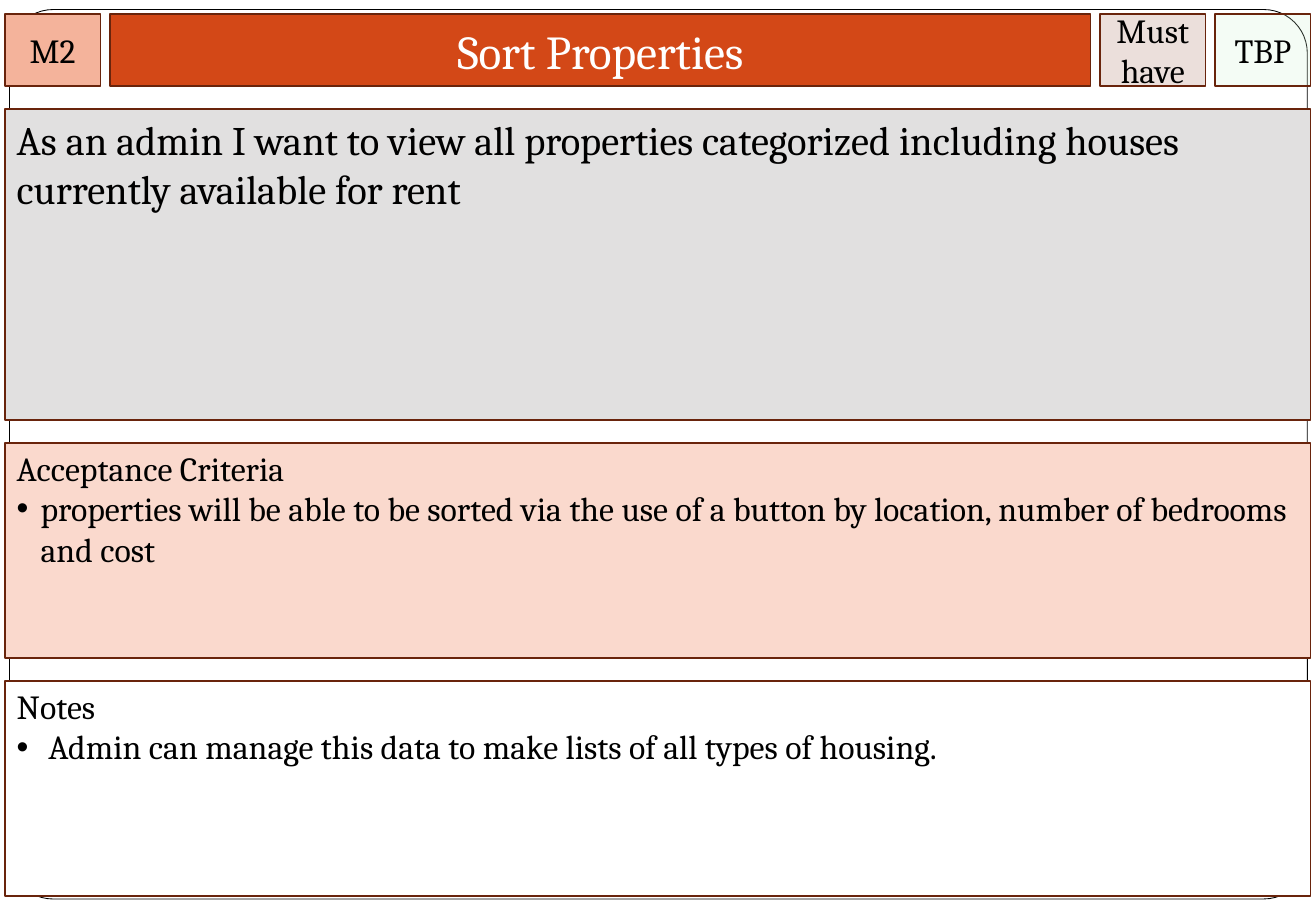
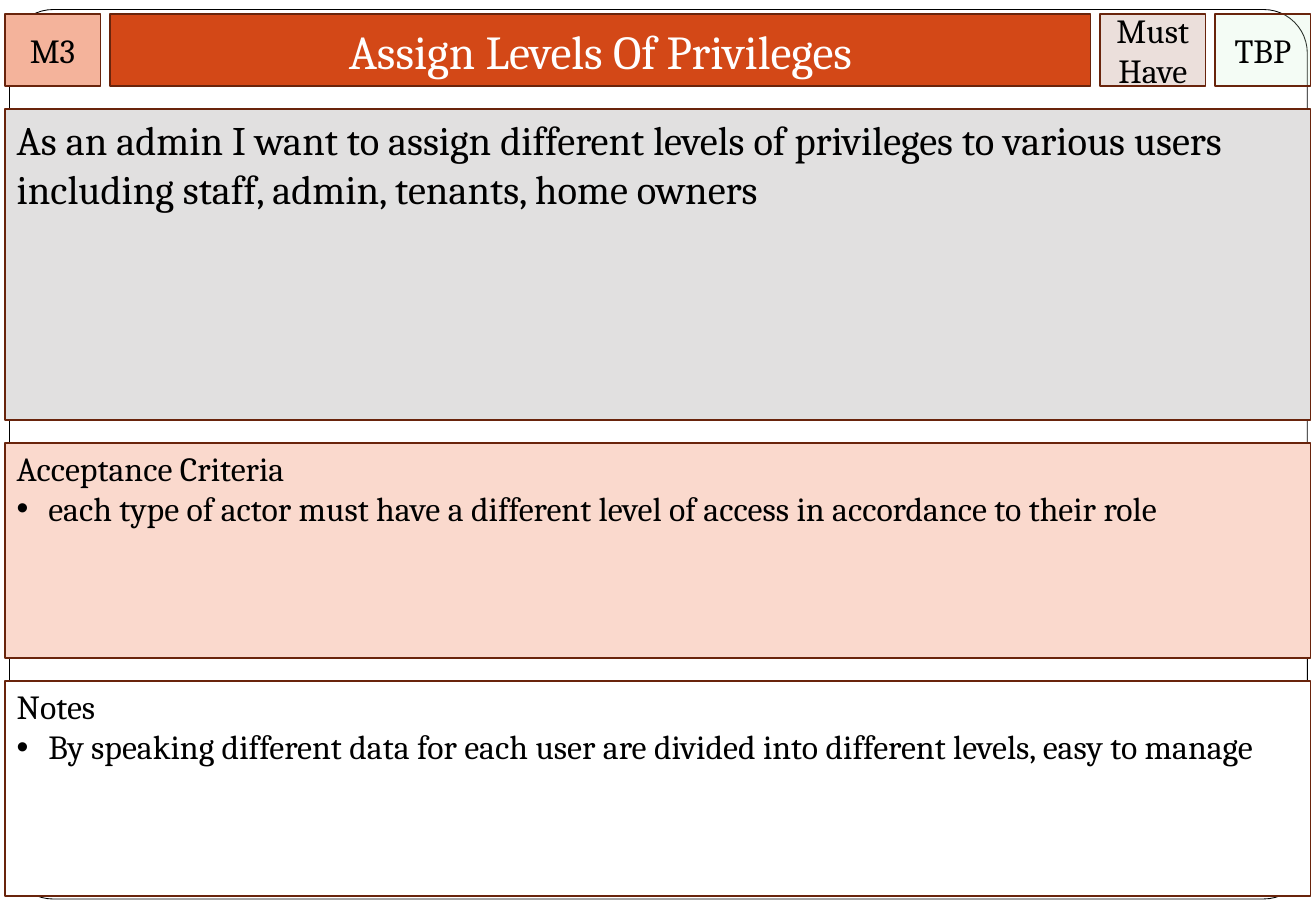
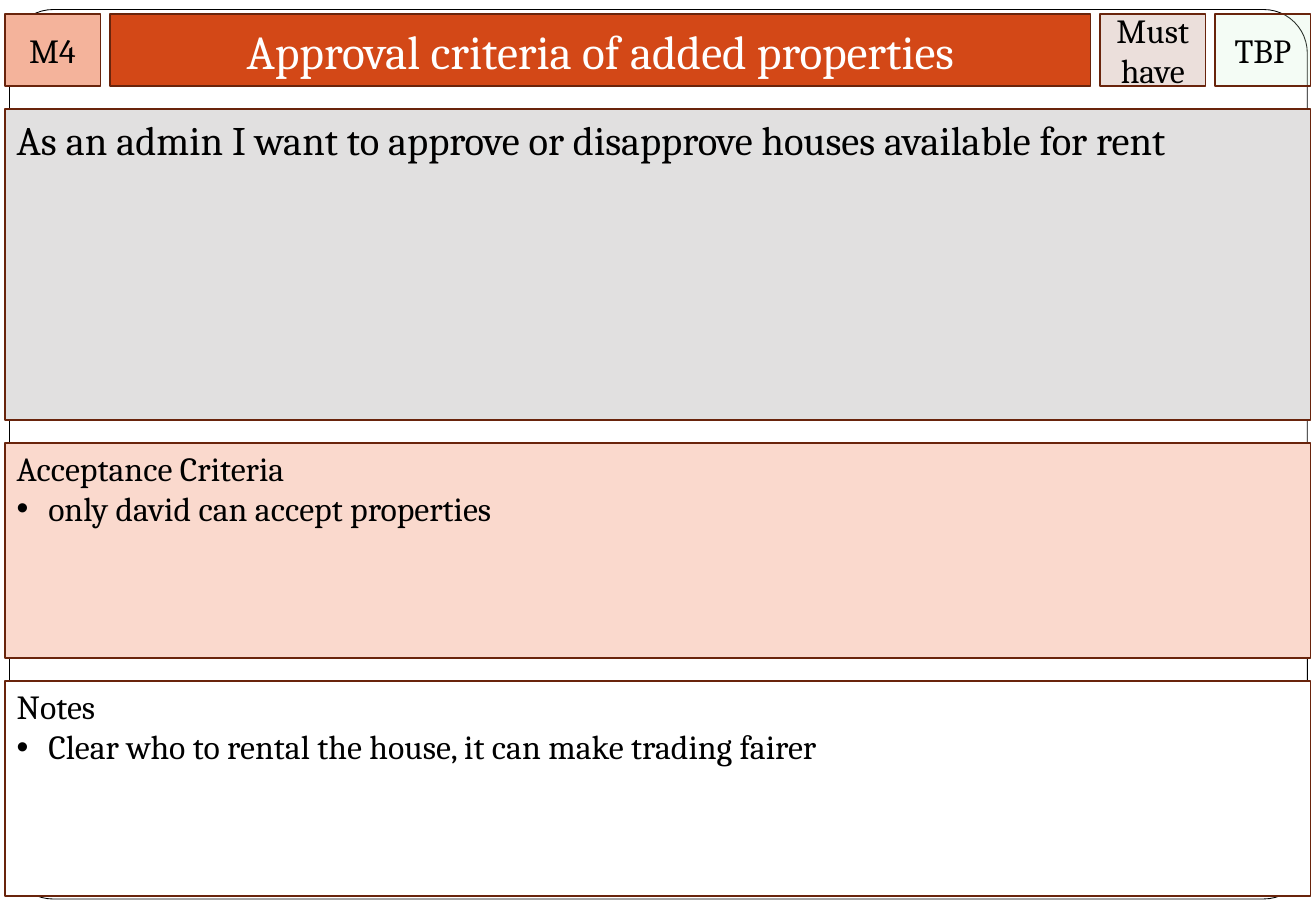
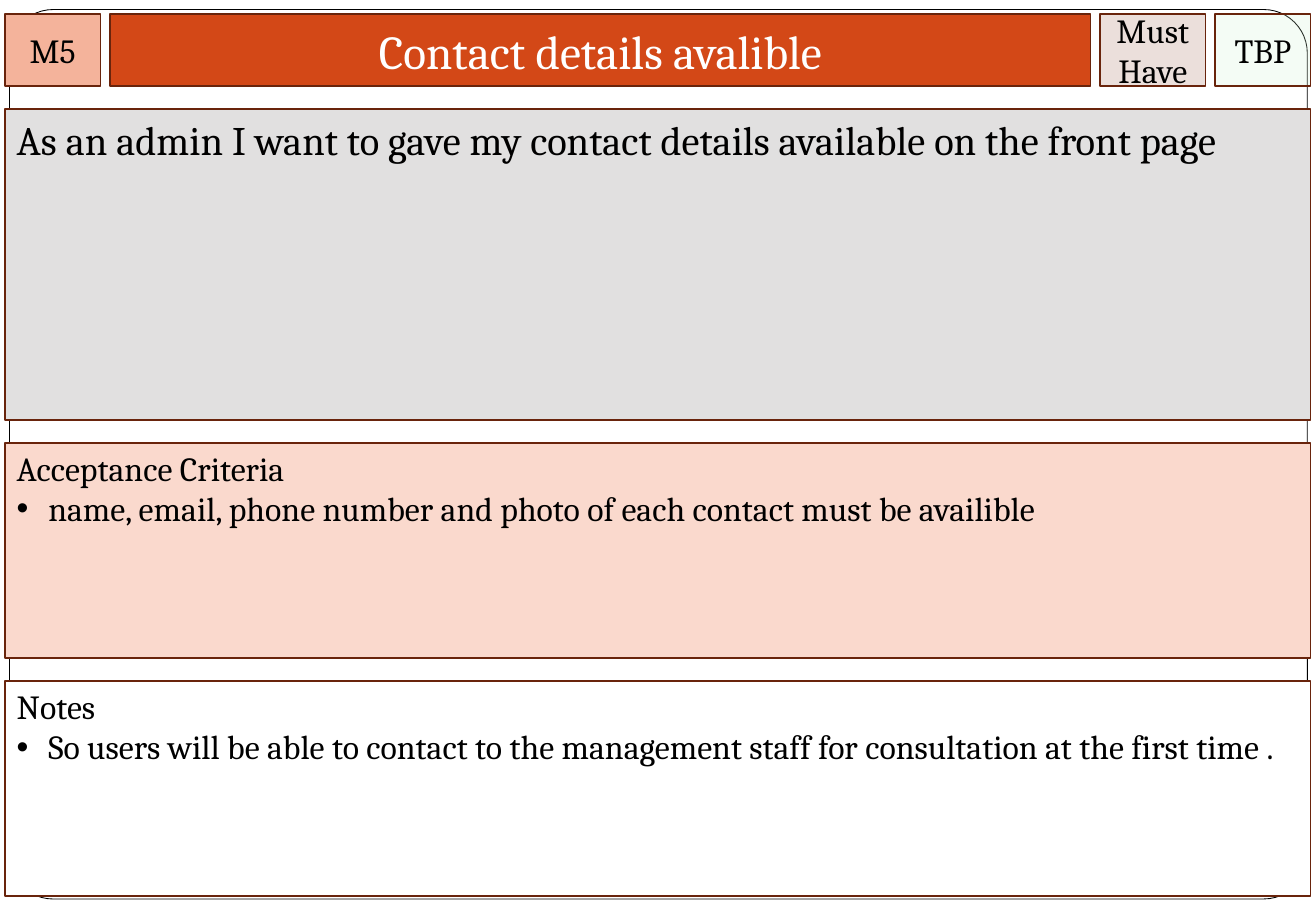
import pptx
import pptx.util
import pptx.dml.color
import pptx.enum.shapes
import pptx.enum.text
import pptx.oxml
import pptx.oxml.ns
import lxml.etree

Cm = pptx.util.Cm
Pt = pptx.util.Pt
kinds = pptx.enum.shapes.MSO_SHAPE
aligns = pptx.enum.text.PP_ALIGN
anchors = pptx.enum.text.MSO_ANCHOR
qn = pptx.oxml.ns.qn

hues = {
    "black": "000000",
    "white": "FFFFFF",
    "edge": "69240C",
    "code": "F4B39B",
    "title": "D34817",
    "rank": "EBDFDB",
    "state": "CCF0CD",
    "story": "E1E0E0",
    "tests": "FAD9CD",
}


def tint(name):
    return pptx.dml.color.RGBColor.from_string(hues[name])


def box(text, page=None, at=(0, 0, 1, 1), kind=kinds.RECTANGLE, fill="white",
        alpha=None, line="edge", width=1, size=20, color="black", center=False,
        pad=(0.25, 0.13), wrap=True, hang=0):
    shape = page.shapes.add_shape(kind, *[Cm(part) for part in at])
    shape.shadow.inherit = False
    shape.fill.solid()
    shape.fill.fore_color.rgb = tint(fill)
    if alpha:
        paint = shape.element.spPr.find(qn("a:solidFill"))[0]
        lxml.etree.SubElement(paint, qn("a:alpha")).set("val", str(alpha * 1000))
    shape.line.color.rgb = tint(line)
    shape.line.width = Pt(width)
    frame = shape.text_frame
    frame.word_wrap = wrap
    frame.vertical_anchor = anchors.MIDDLE if center else anchors.TOP
    frame.margin_left = frame.margin_right = Cm(pad[0])
    frame.margin_top = Cm(pad[1])
    frame.margin_bottom = Cm(0.13)
    for spot, words in enumerate(text.split("\n") if text else []):
        para = frame.add_paragraph() if spot else frame.paragraphs[0]
        para.alignment = aligns.CENTER if center else aligns.LEFT
        run = para.add_run()
        run.text = words
        run.font.name = "Cambria"
        run.font.size = Pt(size)
        run.font.color.rgb = tint(color)
        if hang and spot:
            props = para._p.get_or_add_pPr()
            props.set("marL", str(Cm(hang)))
            props.set("indent", str(-Cm(hang)))
            lxml.etree.SubElement(props, qn("a:buFont")).set("typeface", "Arial")
            lxml.etree.SubElement(props, qn("a:buChar")).set("char", "•")
    return shape


deck = pptx.Presentation()
deck.slide_width = Cm(27.51)
deck.slide_height = Cm(19.05)
blank = deck.slide_layouts[6]

cards = [
    ("M2", "Sort Properties", "Must\nhave",
     "As an admin I want to view all properties categorized including houses "
     "currently available for rent",
     "properties will be able to be sorted via the use of a button by location, "
     "number of bedrooms and cost", 0.5,
     "Admin can manage this data to make lists of all types of housing."),
    ("M3", "Assign Levels Of Privileges", "Must\nHave",
     "As an admin I want to assign different levels of privileges to various users "
     "including staff, admin, tenants, home owners",
     "each type of actor must have a different level of access in accordance "
     "to their role", 0.66,
     "By speaking different data for each user are divided into different levels, "
     "easy to manage"),
    ("M4", "Approval criteria of added properties", "Must\nhave",
     "As an admin I want to approve or disapprove houses available for rent",
     "only david can accept properties", 0.66,
     "Clear who to rental the house, it can make trading fairer"),
    ("M5", "Contact details avalible", "Must\nHave",
     "As an admin I want to gave my contact details available on the front page",
     "name, email, phone number and photo of each contact must be availible", 0.66,
     "So users will be able to contact to the management staff for consultation "
     "at the first time ."),
]

for index, (code, title, rank, story, tests, hang, notes) in enumerate(cards):
    page = deck.slides.add_slide(blank)
    if index == 0:
        border = box("", page=page, at=(0.2, 0.2, 27.13, 18.6), line="black",
                     width=0.5, kind=kinds.ROUNDED_RECTANGLE)
        border.adjustments[0] = 0.049
        blank.shapes.element.append(border.element)

    left = 0.1
    head = [
        (code, 2, dict(fill="code", pad=(0, 0.13))),
        (title, 20.5, dict(fill="title", color="white", size=28)),
        (rank, 2.2, dict(fill="rank", pad=(0, 0.13), wrap=False)),
        ("TBP", 2, dict(fill="state", alpha=20, pad=(0, 0.13))),
    ]
    for text, span, style in head:
        box(text, page=page, at=(left, 0.3, span, 1.5), center=True, **style)
        left += span + 0.2

    top = 2.28
    body = [
        (story, 6.5, dict(fill="story", size=24)),
        ("Acceptance Criteria\n" + tests, 4.5,
         dict(fill="tests", pad=(0.25, 0.1), hang=hang)),
        ("Notes\n" + notes, 4.5, dict(pad=(0.25, 0.1), hang=0.66)),
    ]
    for text, tall, style in body:
        box(text, page=page, at=(0.1, top, 27.3, tall), **style)
        top += tall + 0.48

deck.save("out.pptx")
